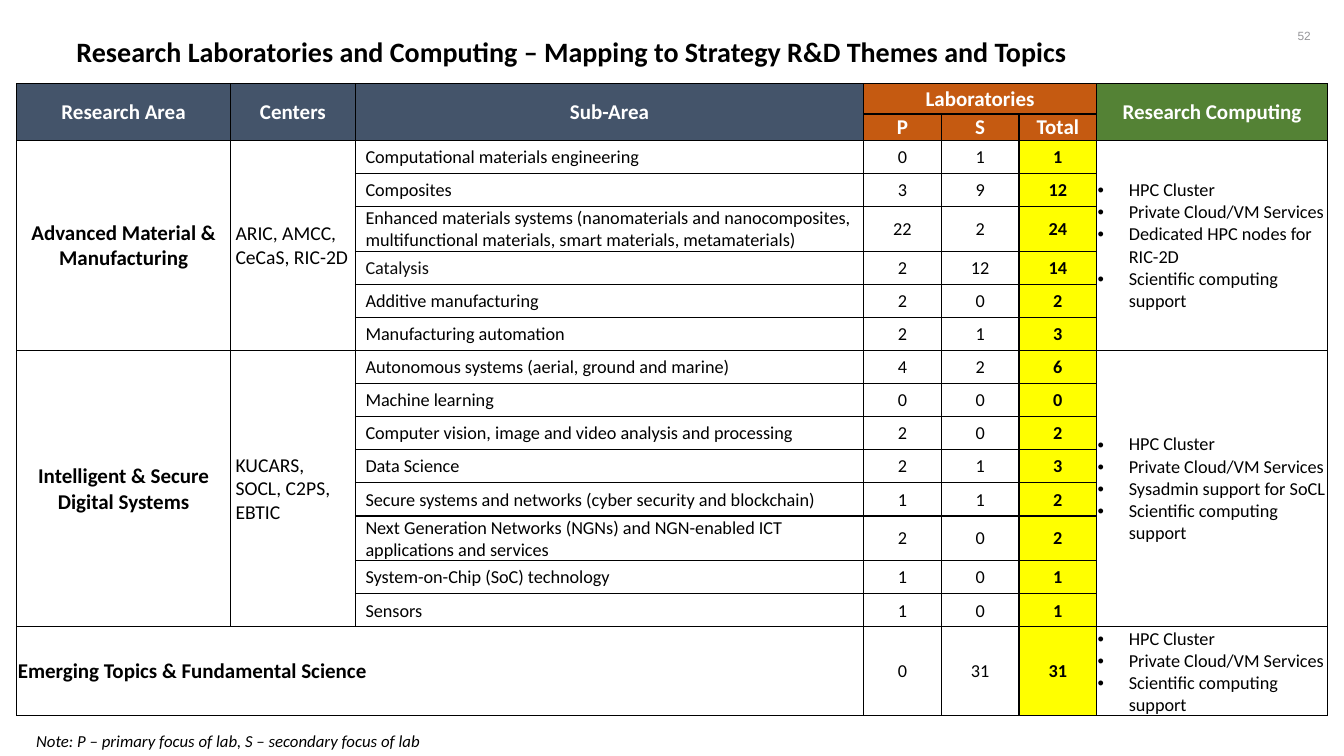
from pptx import Presentation
from pptx.dml.color import RGBColor as RGB
from pptx.enum.text import MSO_ANCHOR as ANCHOR, MSO_AUTO_SIZE as FIT, PP_ALIGN as ALIGN
from pptx.oxml import parse_xml
from pptx.oxml.ns import nsdecls
from pptx.util import Inches, Pt

THEME = {
    "font": "Calibri", "number_font": "Arial",
    "ink": "000000", "soft_ink": "0D0D0D", "white": "FFFFFF", "grey": "96969A",
    "slate": "44546A", "orange": "C55A11", "green": "548235", "yellow": "FFFF00",
    "title": 20, "heading": 15, "centers": 14, "body": 13, "note": 12, "number": 8.5,
}
BULLET_INDENT = Inches(0.31)


def write(frame, text, size="body", color="ink", font="font", bold=False, italic=False,
          align=ALIGN.LEFT, bullet=False):
    """Fill a text frame, one paragraph per line of text."""
    for index, line in enumerate(text.split("\n")):
        paragraph = frame.add_paragraph() if index else frame.paragraphs[0]
        paragraph.alignment = align
        if bullet:
            props = paragraph._p.get_or_add_pPr()
            props.set("marL", str(BULLET_INDENT))
            props.set("indent", str(-BULLET_INDENT))
            props.append(parse_xml(f'<a:buFont {nsdecls("a")} typeface="Arial"/>'))
            props.append(parse_xml(f'<a:buChar {nsdecls("a")} char="•"/>'))
        run = paragraph.add_run()
        run.text = line
        run.font.name = THEME[font]
        run.font.size = Pt(THEME[size])
        run.font.bold, run.font.italic = bold, italic
        run.font.color.rgb = RGB.from_string(THEME[color])


def fill_cell(row, column, text, fill=None, left=0.01, **text_format):
    """Write a table cell and give it its fill and left margin."""
    cell = grid.cell(row, column)
    cell.margin_left = Inches(left)
    if fill:
        cell.fill.solid()
        cell.fill.fore_color.rgb = RGB.from_string(THEME[fill])
    write(cell.text_frame, text, **text_format)


deck = Presentation()
deck.slide_width, deck.slide_height = Inches(13.33), Inches(7.5)
slide = deck.slides.add_slide(deck.slide_layouts[6])

# One unit is a hundredth of the slide's width or height
COL, ROW = deck.slide_width / 100, deck.slide_height / 100

# Page number, title and note
captions = [
    ((94.9, 2.93, 4.28, 3.6), "52", False,
     dict(size="number", color="grey", font="number_font", align=ALIGN.CENTER)),
    ((4.95, 3.87, 89.95, 5.87),
     "Research Laboratories and Computing – Mapping to Strategy R&D Themes and Topics", True,
     dict(size="title", bold=True)),
    ((1.95, 96, 30.38, 4), "Note: P – primary focus of lab, S – secondary focus of lab", True,
     dict(size="note", italic=True)),
]
for (x, y, w, h), caption, grows, text_format in captions:
    frame = slide.shapes.add_textbox(int(x * COL), int(y * ROW), int(w * COL), int(h * ROW)).text_frame
    frame.word_wrap = text_format["size"] != "note"
    if grows:
        frame.auto_size = FIT.SHAPE_TO_FIT_TEXT
    else:
        frame.vertical_anchor = ANCHOR.MIDDLE
        frame.margin_left = frame.margin_right = frame.margin_top = frame.margin_bottom = 0
    write(frame, caption, **text_format)

# Research areas: name, centers, computing services, sub-areas with P and S counts
areas = [
    ("Advanced Material & Manufacturing", "ARIC, AMCC, CeCaS, RIC-2D",
     "Dedicated HPC nodes for RIC-2D", [
         ("Computational materials engineering", 0, 1),
         ("Composites", 3, 9),
         ("Enhanced materials systems (nanomaterials and nanocomposites, "
          "multifunctional materials, smart materials, metamaterials)", 22, 2),
         ("Catalysis", 2, 12),
         ("Additive manufacturing", 2, 0),
         ("Manufacturing automation", 2, 1)]),
    ("Intelligent & Secure Digital Systems", "KUCARS, SOCL, C2PS, EBTIC",
     "Sysadmin support for SoCL", [
         ("Autonomous systems (aerial, ground and marine)", 4, 2),
         ("Machine learning", 0, 0),
         ("Computer vision, image and video analysis and processing", 2, 0),
         ("Data Science", 2, 1),
         ("Secure systems and networks (cyber security and blockchain)", 1, 1),
         ("Next Generation Networks (NGNs) and NGN-enabled ICT applications and services", 2, 0),
         ("System-on-Chip (SoC) technology", 1, 0),
         ("Sensors", 1, 0)]),
    ("Emerging Topics & Fundamental Science", None, None, [(None, 0, 31)]),
]

# Table grid
column_widths = [15.9, 9.3, 37.81, 5.78, 5.78, 5.78, 17.18]
row_heights = [4, 3.37] + [4.38] * 14 + [8.67]
table_height = int(83.6 * ROW)
table_frame = slide.shapes.add_table(
    len(row_heights), len(column_widths), int(1.25 * COL), int(11.07 * ROW),
    int(sum(column_widths) * COL), table_height)
grid = table_frame.table
grid.first_row = grid.horz_banding = False
for column, width in zip(grid.columns, column_widths):
    column.width = int(width * COL)
for row, height in zip(grid.rows, row_heights):
    row.height = int(height * ROW)
table_frame.height = table_height

# Borders, margins and clear fill for every cell
for cell in grid.iter_cells():
    cell.vertical_anchor = ANCHOR.MIDDLE
    cell.margin_left = cell.margin_right = cell.margin_top = Inches(0.01)
    cell.margin_bottom = 0
    for side in "LRTB":
        cell._tc.get_or_add_tcPr().append(parse_xml(
            f'<a:ln{side} {nsdecls("a")} w="{Pt(1)}"><a:solidFill>'
            f'<a:srgbClr val="{THEME["ink"]}"/></a:solidFill></a:ln{side}>'))
    cell.fill.background()

# Header: row, column, last row, last column
headers = [
    (0, 0, 1, 0, "Research Area", "slate"), (0, 1, 1, 1, "Centers", "slate"),
    (0, 2, 1, 2, "Sub-Area", "slate"), (0, 3, 0, 5, "Laboratories", "orange"),
    (0, 6, 1, 6, "Research Computing", "green"), (1, 3, 1, 3, "P", "orange"),
    (1, 4, 1, 4, "S", "orange"), (1, 5, 1, 5, "Total", "orange"),
]
for top, left, bottom, right, label, fill in headers:
    if (top, left) != (bottom, right):
        grid.cell(top, left).merge(grid.cell(bottom, right))
    fill_cell(top, left, label, fill=fill, size="heading", color="white", bold=True, align=ALIGN.CENTER)

# Body
first = 2
for area, centers, special_service, sub_areas in areas:
    last = first + len(sub_areas) - 1
    if centers:
        for column in (0, 1, 6):
            grid.cell(first, column).merge(grid.cell(last, column))
        fill_cell(first, 1, centers, left=0.05, size="centers")
    else:
        grid.cell(first, 0).merge(grid.cell(last, 2))
    fill_cell(first, 0, area, size="heading", bold=True,
              align=ALIGN.CENTER if centers else ALIGN.LEFT)
    services = ["HPC Cluster", "Private Cloud/VM Services", special_service, "Scientific computing support"]
    fill_cell(first, 6, "\n".join(filter(None, services)), bullet=True)

    for row, (sub_area, primary, secondary) in enumerate(sub_areas, first):
        if sub_area:
            fill_cell(row, 2, sub_area, left=0.1, color="soft_ink" if sub_area == "Catalysis" else "ink")
        fill_cell(row, 3, str(primary), align=ALIGN.CENTER)
        fill_cell(row, 4, str(secondary), align=ALIGN.CENTER)
        fill_cell(row, 5, str(primary + secondary), fill="yellow", bold=True, align=ALIGN.CENTER)
    first = last + 1

deck.save("out.pptx")
